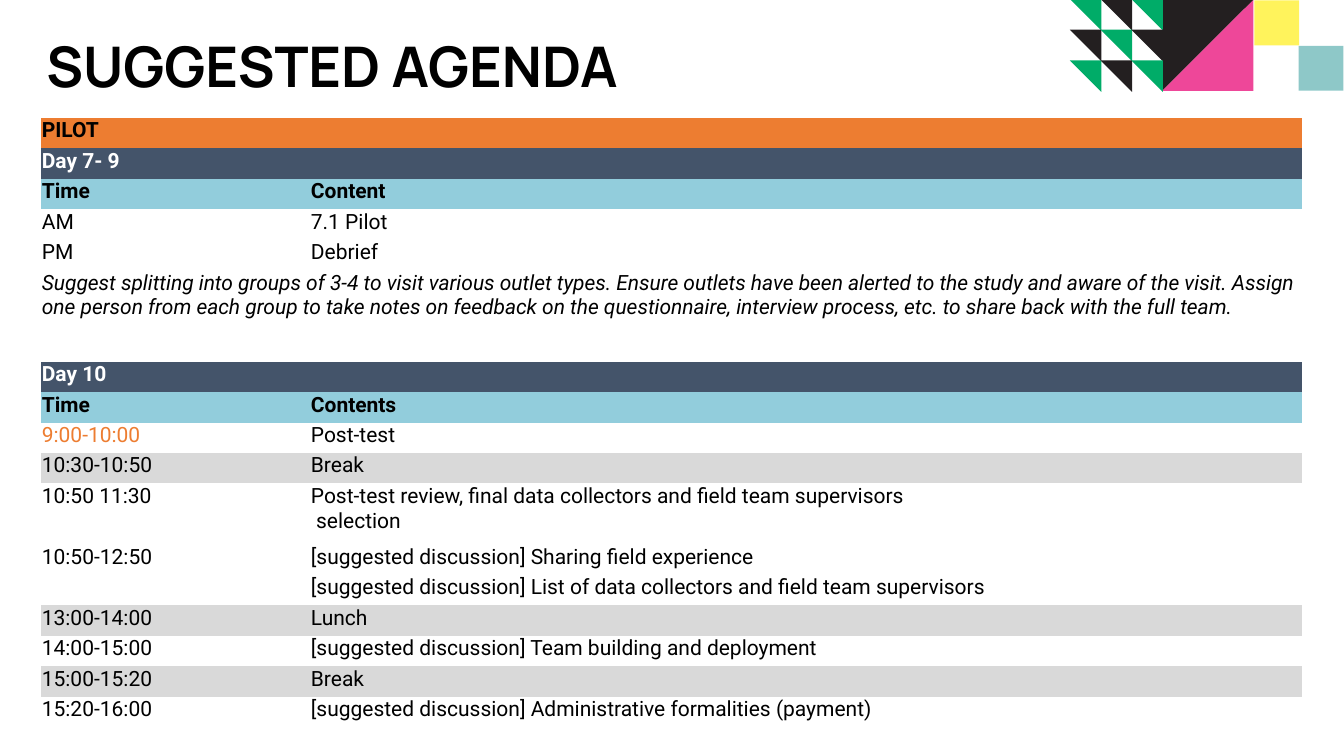
import pptx
import pptx.dml.color
import pptx.enum.shapes
import pptx.enum.text
import pptx.oxml.ns
import pptx.util

PX = 4572  # EMU per px, 200 px to the inch

BLACK, WHITE, INK = "000000", "FFFFFF", "231F20"
GREEN, PINK, YELLOW, TEAL = "00AC68", "EE4799", "FFF35C", "8EC8C8"
ORANGE, NAVY, SKY, GREY = "ED7D31", "44546A", "92CDDC", "D9D9D9"
NO_GRID_STYLE = "{2D5ABB26-0587-4C30-8999-92F81FD0307C}"

ROW_H = 121
NOTE = ("Suggest splitting into groups of 3-4 to visit various outlet types. "
        "Ensure outlets have been alerted to the study and aware of the visit. "
        "Assign one person from each group to take notes on feedback on the "
        "questionnaire, interview process, etc. to share back with the full team.")

# Row kind: fill, text format, height in row units
KINDS = {
    "section": (ORANGE, {"bold": True}, 1),
    "day": (NAVY, {"bold": True, "color": WHITE}, 1),
    "head": (SKY, {"bold": True}, 1),
    "item": (None, {}, 1),
    "tall": (None, {}, 2),
    "break": (GREY, {}, 1),
    "note": (None, {"italic": True}, 3),
}
AGENDA = [
    ("section", "PILOT", ""),
    ("day", "Day 7- 9", ""),
    ("head", "Time", "Content"),
    ("item", "AM", "7.1 Pilot"),
    ("item", "PM", "Debrief"),
    ("note", NOTE, ""),
    ("day", "Day 10", ""),
    ("head", "Time", "Contents"),
    ("item", "9:00-10:00", "Post-test"),
    ("break", "10:30-10:50", "Break"),
    ("tall", "10:50 11:30",
     "Post-test review, final data collectors and field team supervisors\n selection"),
    ("item", "10:50-12:50", "[suggested discussion] Sharing field experience"),
    ("item", "", "[suggested discussion] List of data collectors and field team supervisors"),
    ("break", "13:00-14:00", "Lunch"),
    ("item", "14:00-15:00", "[suggested discussion] Team building and deployment"),
    ("break", "15:00-15:20", "Break"),
    ("item", "15:20-16:00", "[suggested discussion] Administrative formalities (payment)"),
]
HIGHLIGHTED = "9:00-10:00"


def rgb(value):
    return pptx.dml.color.RGBColor.from_string(value)


class Deck:
    """Holds the text style and the current slide."""
    title_style = {"name": "Manrope", "size": 80, "bold": True, "color": BLACK}
    cell_style = {"name": "Roboto", "size": 30, "bold": False, "color": BLACK}

    def __init__(self, width, height):
        self.prs = pptx.Presentation()
        self.prs.slide_width, self.prs.slide_height = width * PX, height * PX
        self.s = self.prs.slides.add_slide(self.prs.slide_layouts[6])

    def set_text(self, tf, text, style):
        tf.text = text
        for p in tf.paragraphs:
            for r in p.runs:
                for key, value in style.items():
                    if key == "color":
                        r.font.color.rgb = rgb(value)
                    else:
                        setattr(r.font, key, pptx.util.Pt(value) if key == "size" else value)

    def paint(self, sp, color):
        sp.shadow.inherit = False
        sp.fill.solid()
        sp.fill.fore_color.rgb = rgb(color)
        sp.line.fill.background()

    def square(self, x, y, side, color):
        kind = pptx.enum.shapes.MSO_SHAPE.RECTANGLE
        self.paint(self.s.shapes.add_shape(kind, x * PX, y * PX, side * PX, side * PX), color)

    def triangle(self, points, color):
        builder = self.s.shapes.build_freeform(*points[0], scale=PX)
        builder.add_line_segments(points[1:], close=True)
        self.paint(builder.convert_to_shape(), color)

    def title(self, x, y, w, h, text):
        tf = self.s.shapes.add_textbox(x * PX, y * PX, w * PX, h * PX).text_frame
        tf.word_wrap = True
        tf.vertical_anchor = pptx.enum.text.MSO_ANCHOR.BOTTOM
        self.set_text(tf, text, self.title_style)
        tf.paragraphs[0].line_spacing = 0.9

    def cell(self, cell, text, fill, style):
        margins = {"margin_left": 2, "margin_right": 2, "margin_top": 2, "margin_bottom": 0}
        for key, value in margins.items():
            setattr(cell, key, value * PX)
        if fill:
            cell.fill.solid()
            cell.fill.fore_color.rgb = rgb(fill)
        else:
            cell.fill.background()
        if text:
            self.set_text(cell.text_frame, text, {**self.cell_style, **style})

    def agenda(self, x, y, col_widths, rows):
        heights = [KINDS[kind][2] * ROW_H for kind, *_ in rows]
        frame = self.s.shapes.add_table(len(rows), len(col_widths), x * PX, y * PX,
                                        sum(col_widths) * PX, sum(heights) * PX)
        for style_id in frame.element.iter(pptx.oxml.ns.qn("a:tableStyleId")):
            style_id.text = NO_GRID_STYLE
        table = frame.table
        table.first_row = table.horz_banding = False
        for column, width in zip(table.columns, col_widths):
            column.width = width * PX
        for i, (kind, *texts) in enumerate(rows):
            table.rows[i].height = heights[i] * PX
            fill, style, _ = KINDS[kind]
            for j, text in enumerate(texts):
                accent = {"color": ORANGE} if text == HIGHLIGHTED else {}
                self.cell(table.cell(i, j), text, fill, {**style, **accent})
            if kind == "note":
                table.cell(i, 0).merge(table.cell(i, len(col_widths) - 1))


def corner_pattern(deck):
    deck.square(4978, 2, 178, YELLOW)
    deck.square(5154, 182, 178, TEAL)
    left, top, right, bottom = 4612, 0, 4974, 361
    deck.triangle([(left, top), (left, bottom), (right, top)], INK)
    deck.triangle([(left, bottom), (right, bottom), (right, top)], PINK)
    pitch, side = 122, 125
    for row in range(3):
        for col in range(3):
            x, y = 4246 + col * pitch, -4 + row * pitch
            color = INK if (row + col) % 2 else GREEN
            deck.triangle([(x, y), (x + side, y), (x + side, y + side)], color)


def main():
    deck = Deck(5334, 3000)
    corner_pattern(deck)
    deck.title(164, 76, 2796, 330, "SUGGESTED AGENDA")
    deck.agenda(164, 467, [1068, 3936], AGENDA)
    deck.prs.save("out.pptx")


if __name__ == "__main__":
    main()
